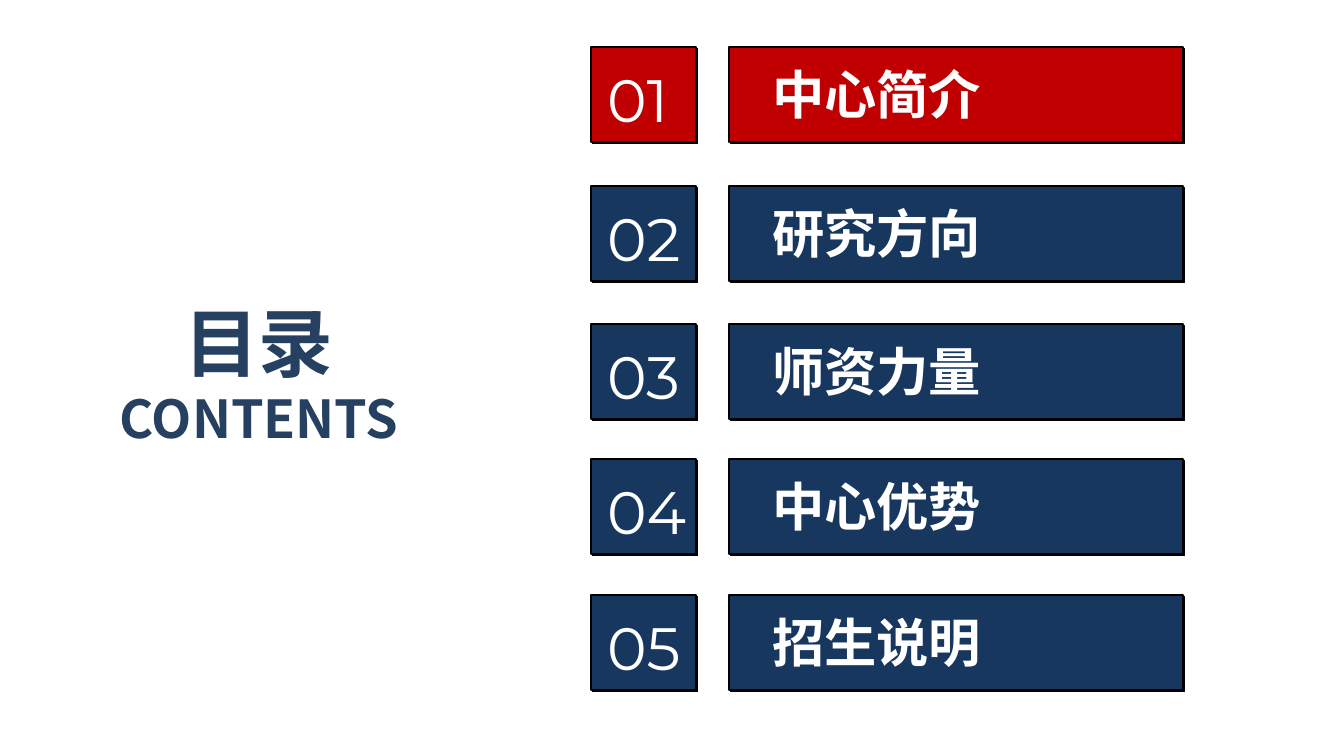
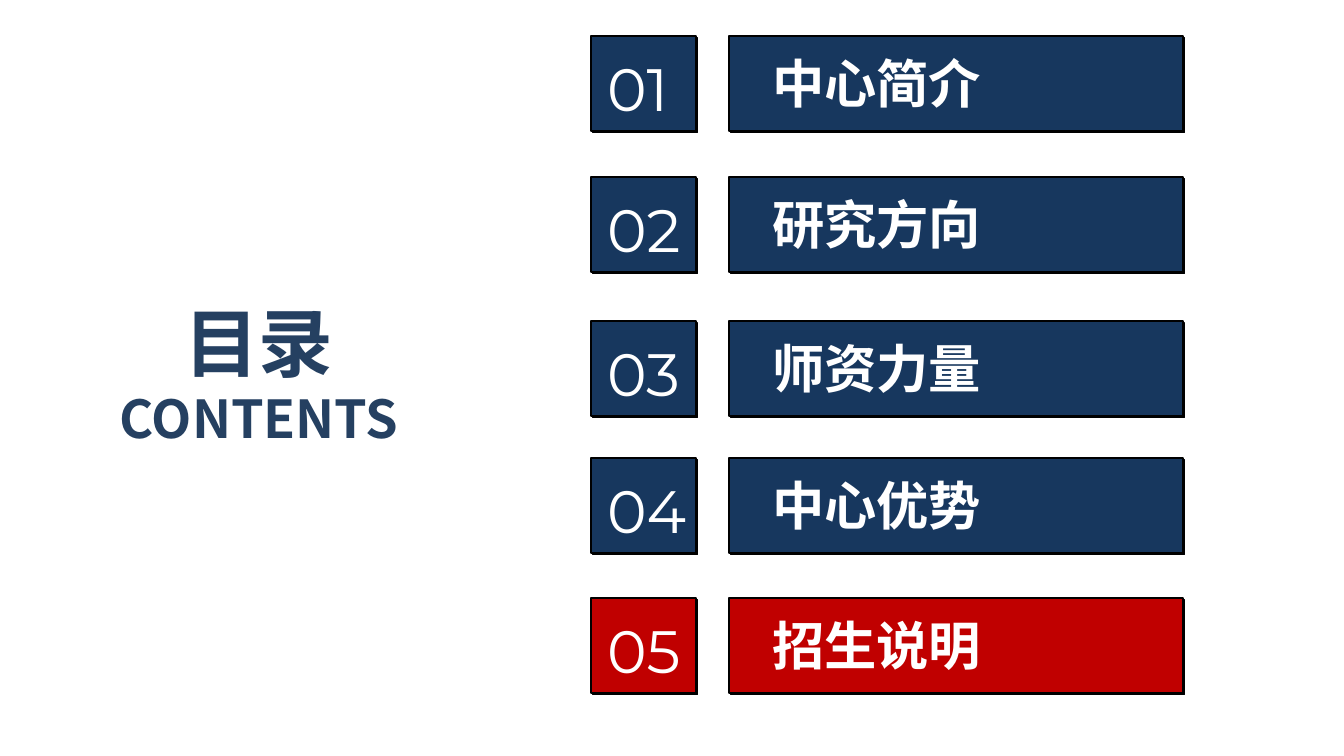
from lxml.etree import SubElement as Sub
from pptx import Presentation
from pptx.dml.color import RGBColor as RGB
from pptx.enum.shapes import MSO_SHAPE as SHAPE
from pptx.enum.text import MSO_ANCHOR as ANCHOR, MSO_AUTO_SIZE as AUTO, PP_ALIGN as ALIGN
from pptx.oxml.ns import qn
from pptx.util import Pt

PX = 914400 / 134.4
RED = RGB(0xC0, 0x00, 0x00)
NAVY = RGB(0x17, 0x37, 0x5E)
INK = RGB(0x25, 0x40, 0x61)
WHITE = RGB(0xFF, 0xFF, 0xFF)
BLACK = RGB(0x00, 0x00, 0x00)
SANS, DIGIT = "Noto Sans CJK SC", "Montserrat"

TOPICS = ["中心简介", "研究方向", "师资力量", "中心优势", "招生说明"]
# Active topic and row tops of each slide
PAGES = [
    (1, [47, 186, 324, 459, 595]),
    (5, [36, 177, 321, 458, 598]),
]


def px(*vals):
    return [round(v * PX) for v in vals]


def style(par, size, face, color, bold=False):
    for run in par.runs:
        font = run.font
        font.size, font.bold = Pt(size), bold
        font.color.rgb = color
        font.name = face
        Sub(font._element, qn("a:ea"), typeface=face)


def add_title(slide):
    title = slide.shapes.title
    title.left, title.top, title.width, title.height = px(101, 290, 316, 167)
    frame = title.text_frame
    frame.text = "目录\nCONTENTS"
    frame.word_wrap = False
    frame.auto_size = AUTO.SHAPE_TO_FIT_TEXT
    frame.vertical_anchor = ANCHOR.TOP
    for par, size in zip(frame.paragraphs, (40, 28)):
        par.alignment = ALIGN.CENTER
        style(par, size, SANS, INK, True)


def add_box(slide, x, y, w, color):
    box = slide.shapes.add_shape(SHAPE.RECTANGLE, *px(x, y, w, 95))
    box.fill.solid()
    box.fill.fore_color.rgb = color
    box.line.color.rgb = BLACK
    box.line.width = Pt(0.75)
    # Hard drop shadow, down and to the right
    box.shadow.inherit = False
    fx = box._element.spPr.find(qn("a:effectLst"))
    drop = Sub(fx, qn("a:outerShdw"), blurRad="0", dist=str(Pt(1.4)),
               dir="2700000", algn="ctr", rotWithShape="0")
    Sub(drop, qn("a:srgbClr"), val=str(BLACK))


def add_text(slide, text, x, y, w, h, size, face, bold):
    frame = slide.shapes.add_textbox(*px(x, y, w, h)).text_frame
    frame.text = text
    frame.word_wrap = True
    frame.auto_size = AUTO.SHAPE_TO_FIT_TEXT
    style(frame.paragraphs[0], size, face, WHITE, bold)


def add_row(slide, num, topic, y, color):
    add_box(slide, 591, y, 105, color)
    add_text(slide, f"{num:02}", 594, y + 9, 113, 86, 32, DIGIT, False)
    add_box(slide, 729, y, 454, color)
    add_text(slide, topic, 759, y + 9, 405, 77, 28, SANS, True)


def main():
    deck = Presentation()
    deck.slide_width, deck.slide_height = px(1344, 756)
    for active, tops in PAGES:
        slide = deck.slides.add_slide(deck.slide_layouts[5])
        add_title(slide)
        for num, (topic, y) in enumerate(zip(TOPICS, tops), 1):
            add_row(slide, num, topic, y, RED if num == active else NAVY)
    deck.save("out.pptx")


if __name__ == "__main__":
    main()
